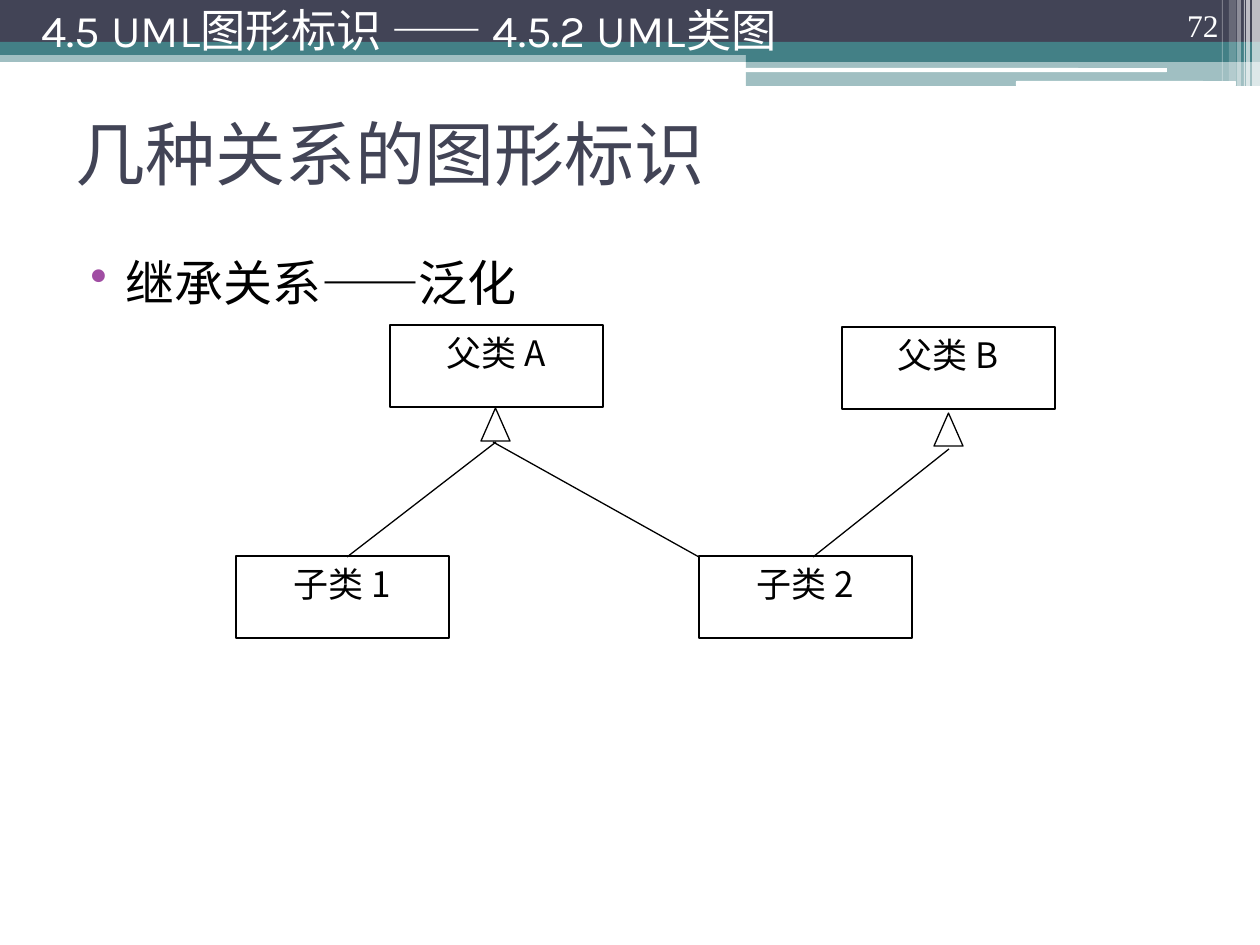
from dataclasses import dataclass
from typing import Optional

from lxml.etree import SubElement
from pptx import Presentation
from pptx.dml.color import RGBColor
from pptx.enum.shapes import MSO_CONNECTOR, MSO_SHAPE
from pptx.enum.text import MSO_ANCHOR, PP_ALIGN
from pptx.oxml.ns import qn
from pptx.util import Emu, Pt

PX_PER_INCH = 126


@dataclass(frozen=True)
class Theme:
    navy: str = "424456"
    teal: str = "438086"
    white: str = "FFFFFF"
    black: str = "000000"
    bullet: str = "A04DA3"
    heading_font: str = "Karla"
    body_font: str = "TeX Gyre Schola"
    cjk_font: str = "Noto Sans CJK SC"
    number_font: str = "Times New Roman"
    title_size: float = 40
    body_size: float = 28
    header_size: float = 25.9
    class_size: float = 20
    number_size: float = 18
    line_width: float = 0.75


THEME = Theme()


@dataclass(frozen=True)
class Box:
    left: int
    top: int
    width: int
    height: int


@dataclass(frozen=True)
class Band:
    box: Box
    color: str
    opacity: int = 100
    rounded: bool = False


@dataclass(frozen=True)
class TextStyle:
    font: str
    size: float
    color: str


@dataclass(frozen=True)
class ClassBox:
    name: str
    left: int
    top: int


@dataclass(frozen=True)
class Link:
    start: tuple[int, int]
    end: tuple[int, int]


BANDS = [
    Band(Box(0, 50, 1260, 12), THEME.teal, 50),
    Band(Box(0, 0, 1260, 42), THEME.navy),
    Band(Box(0, 42, 1260, 13), THEME.teal),
    Band(Box(746, 49, 514, 13), THEME.teal),
    Band(Box(746, 62, 514, 24), THEME.teal, 50),
    Band(Box(745, 68, 422, 4), THEME.white, rounded=True),
    Band(Box(1016, 81, 220, 5), THEME.white, rounded=True),
    Band(Box(1252, 0, 8, 86), THEME.white, 65),
    Band(Box(1246, 0, 4, 86), THEME.white, 65),
    Band(Box(1244, 0, 1, 86), THEME.white, 60),
    Band(Box(1237, 0, 4, 86), THEME.white, 40),
    Band(Box(1229, 0, 7, 81), THEME.white, 20),
    Band(Box(1222, 0, 1, 81), THEME.white, 30),
]
CLASS_BOXES = [
    ClassBox("父类 A", 390, 325),
    ClassBox("父类 B", 842, 327),
    ClassBox("子类 1", 236, 556),
    ClassBox("子类 2", 699, 556),
]
ARROWHEADS = [Box(481, 408, 29, 33), Box(934, 413, 29, 33)]
LINKS = [
    Link((493, 442), (699, 557)),
    Link((496, 442), (347, 557)),
    Link((949, 449), (813, 557)),
]


def px(length: int) -> Emu:
    return Emu(round(length * 914400 / PX_PER_INCH))


def placed(box: Box) -> tuple[Emu, Emu, Emu, Emu]:
    return px(box.left), px(box.top), px(box.width), px(box.height)


def add_span(para, text: str, style: TextStyle) -> None:
    span = para.add_run()
    span.text = text
    span.font.name = style.font
    span.font.size = Pt(style.size)
    span.font.color.rgb = RGBColor.from_string(style.color)
    east_asian = SubElement(span.font._element, qn("a:ea"))
    east_asian.set("typeface", THEME.cjk_font)


def add_text(page, box: Box, spans: list[tuple[str, TextStyle]],
             anchor=MSO_ANCHOR.TOP, align=PP_ALIGN.LEFT, bulleted: bool = False) -> None:
    frame = page.shapes.add_textbox(*placed(box)).text_frame
    frame.word_wrap = True
    frame.vertical_anchor = anchor
    para = frame.paragraphs[0]
    para.alignment = align
    if bulleted:
        add_bullet(para)
    for text, style in spans:
        add_span(para, text, style)


def add_bullet(para) -> None:
    properties = para._p.get_or_add_pPr()
    properties.set("marL", str(px(50)))
    properties.set("indent", str(px(-35)))
    color = SubElement(properties, qn("a:buClr"))
    SubElement(color, qn("a:srgbClr")).set("val", THEME.bullet)
    SubElement(properties, qn("a:buChar")).set("char", "•")


def add_band(page, band: Band) -> None:
    kind = MSO_SHAPE.ROUNDED_RECTANGLE if band.rounded else MSO_SHAPE.RECTANGLE
    shape = page.shapes.add_shape(kind, *placed(band.box))
    shape.shadow.inherit = False
    shape.line.fill.background()
    shape.fill.solid()
    shape.fill.fore_color.rgb = RGBColor.from_string(band.color)
    if band.opacity < 100:
        color = shape._element.spPr.find(qn("a:solidFill"))[0]
        SubElement(color, qn("a:alpha")).set("val", str(band.opacity * 1000))


def set_outline(line) -> None:
    line.color.rgb = RGBColor.from_string(THEME.black)
    line.width = Pt(THEME.line_width)


def add_outlined(page, kind: MSO_SHAPE, box: Box, label: Optional[str] = None) -> None:
    shape = page.shapes.add_shape(kind, *placed(box))
    shape.shadow.inherit = False
    shape.fill.background()
    set_outline(shape.line)
    if label:
        frame = shape.text_frame
        frame.vertical_anchor = MSO_ANCHOR.TOP
        para = frame.paragraphs[0]
        para.alignment = PP_ALIGN.CENTER
        add_span(para, label, TextStyle(THEME.cjk_font, THEME.class_size, THEME.black))


def add_link(page, link: Link) -> None:
    points = [px(length) for length in link.start + link.end]
    connector = page.shapes.add_connector(MSO_CONNECTOR.STRAIGHT, *points)
    set_outline(connector.line)
    SubElement(connector._element.spPr, qn("a:effectLst"))


def main() -> None:
    deck = Presentation()
    deck.slide_width, deck.slide_height = px(1260), px(945)
    page = deck.slides.add_slide(deck.slide_layouts[6])
    for band in BANDS:
        add_band(page, band)

    title = TextStyle(THEME.heading_font, THEME.title_size, THEME.navy)
    body = TextStyle(THEME.body_font, THEME.body_size, THEME.black)
    dash = TextStyle(THEME.cjk_font, THEME.body_size, THEME.black)
    number = TextStyle(THEME.number_font, THEME.number_size, THEME.white)
    header = TextStyle(THEME.heading_font, THEME.header_size, THEME.white)
    add_text(page, Box(63, 79, 1134, 147), [("几种关系的图形标识", title)], MSO_ANCHOR.MIDDLE)
    add_text(page, Box(63, 246, 1134, 660),
             [("继承关系", body), ("——", dash), ("泛化", body)], bulleted=True)
    add_text(page, Box(1126, 0, 105, 50), [("72", number)], MSO_ANCHOR.BOTTOM, PP_ALIGN.RIGHT)
    add_text(page, Box(29, 0, 896, 59),
             [("4.5 UML图形标识 —— 4.5.2 UML类图", header)], MSO_ANCHOR.MIDDLE)

    for item in CLASS_BOXES:
        add_outlined(page, MSO_SHAPE.RECTANGLE, Box(item.left, item.top, 213, 82), item.name)
    for box in ARROWHEADS:
        add_outlined(page, MSO_SHAPE.ISOSCELES_TRIANGLE, box)
    for link in LINKS:
        add_link(page, link)
    deck.save("out.pptx")


if __name__ == "__main__":
    main()
